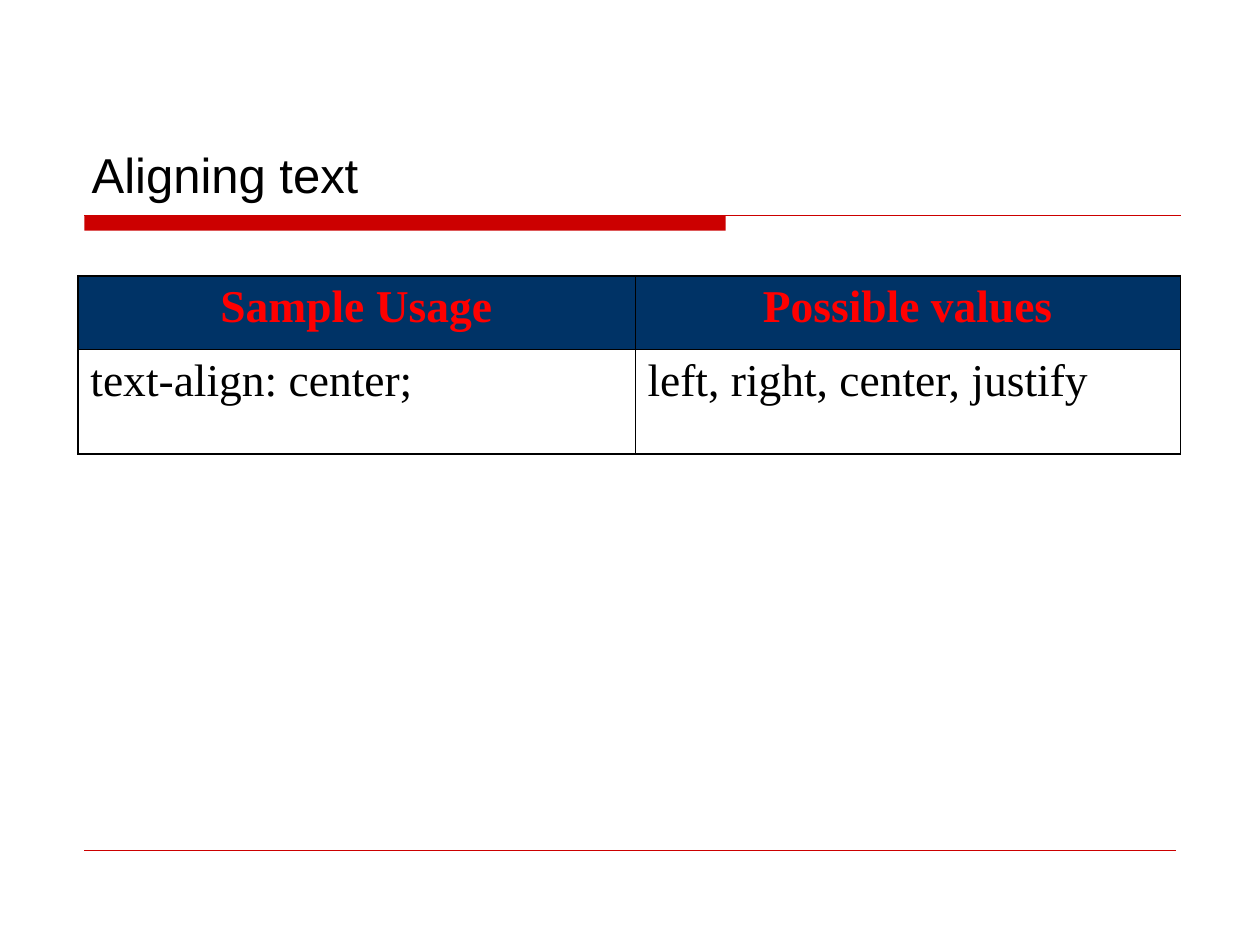
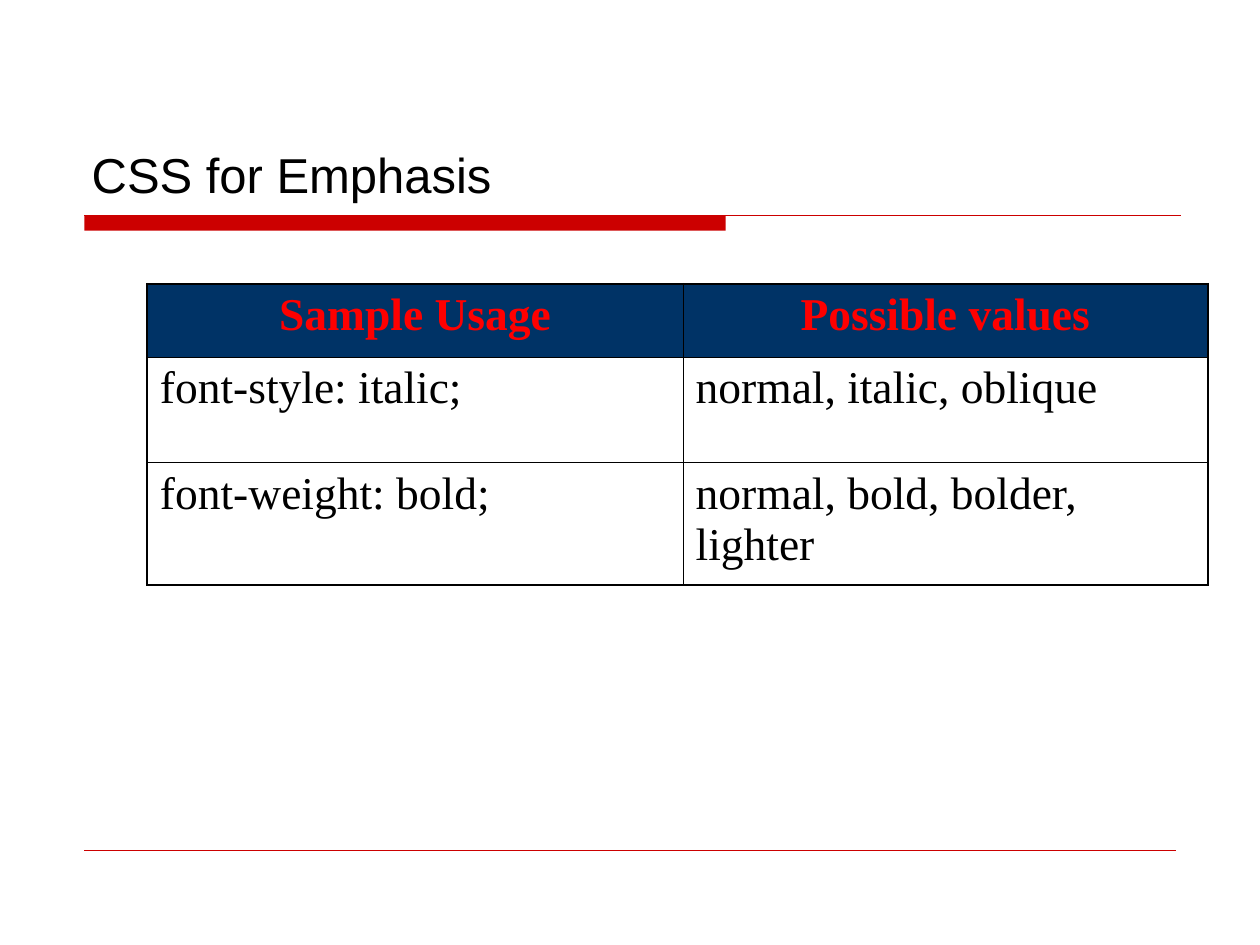
from lxml.etree import SubElement
from pptx import Presentation
from pptx.dml.color import RGBColor
from pptx.enum.shapes import MSO_CONNECTOR, MSO_SHAPE
from pptx.enum.text import MSO_ANCHOR, PP_ALIGN
from pptx.oxml.ns import qn
from pptx.util import Cm, Pt

COLOURS = {"rule": "CC0000", "ink": "000000", "header": "003366", "heading": "FF0000"}
TITLE = {"name": "Arial", "size": Pt(28), "bold": False}
HEADING = {"name": "Times New Roman", "size": Pt(26), "bold": True}
BODY = {**HEADING, "bold": False}
OUTER, INNER = Pt(1.08), Pt(0.45)
LEFT_EDGE = 1.7
HEADINGS = ("Sample Usage", "Possible values")

SLIDES = [
    {
        "title": "Aligning text",
        "corner": (1.57, 5.56),
        "widths": (11.23, 11),
        "heights": (1.48, 2.11),
        "rows": [HEADINGS, ("text-align: center;", "left, right, center, justify")],
    },
    {
        "title": "CSS for Emphasis",
        "corner": (2.97, 5.72),
        "widths": (10.8, 10.58),
        "heights": (1.48, 2.13, 2.46),
        "rows": [
            HEADINGS,
            ("font-style: italic;", "normal, italic, oblique"),
            ("font-weight: bold;", "normal, bold, bolder, lighter"),
        ],
    },
]


def colour(name):
    return RGBColor.from_string(COLOURS[name])


def write(frame, text, style, ink, align=PP_ALIGN.LEFT):
    para = frame.paragraphs[0]
    para.alignment = align
    span = para.add_run()
    span.text = text
    for name, value in style.items():
        setattr(span.font, name, value)
    span.font.color.rgb = colour(ink)


def add_rule(page, right, top, width):
    rule = page.shapes.add_connector(
        MSO_CONNECTOR.STRAIGHT, Cm(LEFT_EDGE), Cm(top), Cm(right), Cm(top)
    )
    rule.line.color.rgb = colour("rule")
    rule.line.width = Pt(width)
    SubElement(rule._element.spPr, qn("a:effectLst"))


def add_band(page):
    band = page.shapes.add_shape(
        MSO_SHAPE.RECTANGLE, Cm(LEFT_EDGE), Cm(4.34), Cm(12.93), Cm(0.31)
    )
    band.shadow.inherit = False
    band.fill.solid()
    band.fill.fore_color.rgb = colour("rule")
    band.line.fill.background()


def add_title(page, text):
    box = page.shapes.add_textbox(Cm(1.6), Cm(0.84), Cm(22.23), Cm(3.39))
    box.text_frame.word_wrap = True
    box.text_frame.vertical_anchor = MSO_ANCHOR.BOTTOM
    write(box.text_frame, text, TITLE, "ink")


def add_borders(cell, widths):
    properties = cell._tc.get_or_add_tcPr()
    for side, width in zip("LRTB", widths):
        line = SubElement(properties, qn(f"a:ln{side}"), w=str(width))
        fill = SubElement(line, qn("a:solidFill"))
        SubElement(fill, qn("a:srgbClr"), val=COLOURS["ink"])


def add_usage_table(page, corner, widths, heights, rows):
    left, top = corner
    table = page.shapes.add_table(
        len(rows), len(widths), Cm(left), Cm(top), Cm(sum(widths)), Cm(sum(heights))
    ).table
    table.first_row = table.horz_banding = False
    for column, width in zip(table.columns, widths):
        column.width = Cm(width)
    for row, height in zip(table.rows, heights):
        row.height = Cm(height)
    last_row, last_column = len(rows) - 1, len(widths) - 1
    for r, texts in enumerate(rows):
        for c, text in enumerate(texts):
            cell = table.cell(r, c)
            edges = (c == 0, c == last_column, r == 0, r == last_row)
            add_borders(cell, [OUTER if edge else INNER for edge in edges])
            if r == 0:
                cell.fill.solid()
                cell.fill.fore_color.rgb = colour("header")
                write(cell.text_frame, text, HEADING, "heading", PP_ALIGN.CENTER)
            else:
                cell.fill.background()
                write(cell.text_frame, text, BODY, "ink")


def main():
    deck = Presentation()
    deck.slide_width, deck.slide_height = Cm(25.4), Cm(19.05)
    for content in SLIDES:
        page = deck.slides.add_slide(deck.slide_layouts[6])
        add_band(page)
        add_rule(page, 23.8, 4.34, 0.75)
        add_rule(page, 23.7, 17.15, 0.25)
        add_title(page, content["title"])
        add_usage_table(
            page, content["corner"], content["widths"], content["heights"], content["rows"]
        )
    deck.save("out.pptx")


if __name__ == "__main__":
    main()
